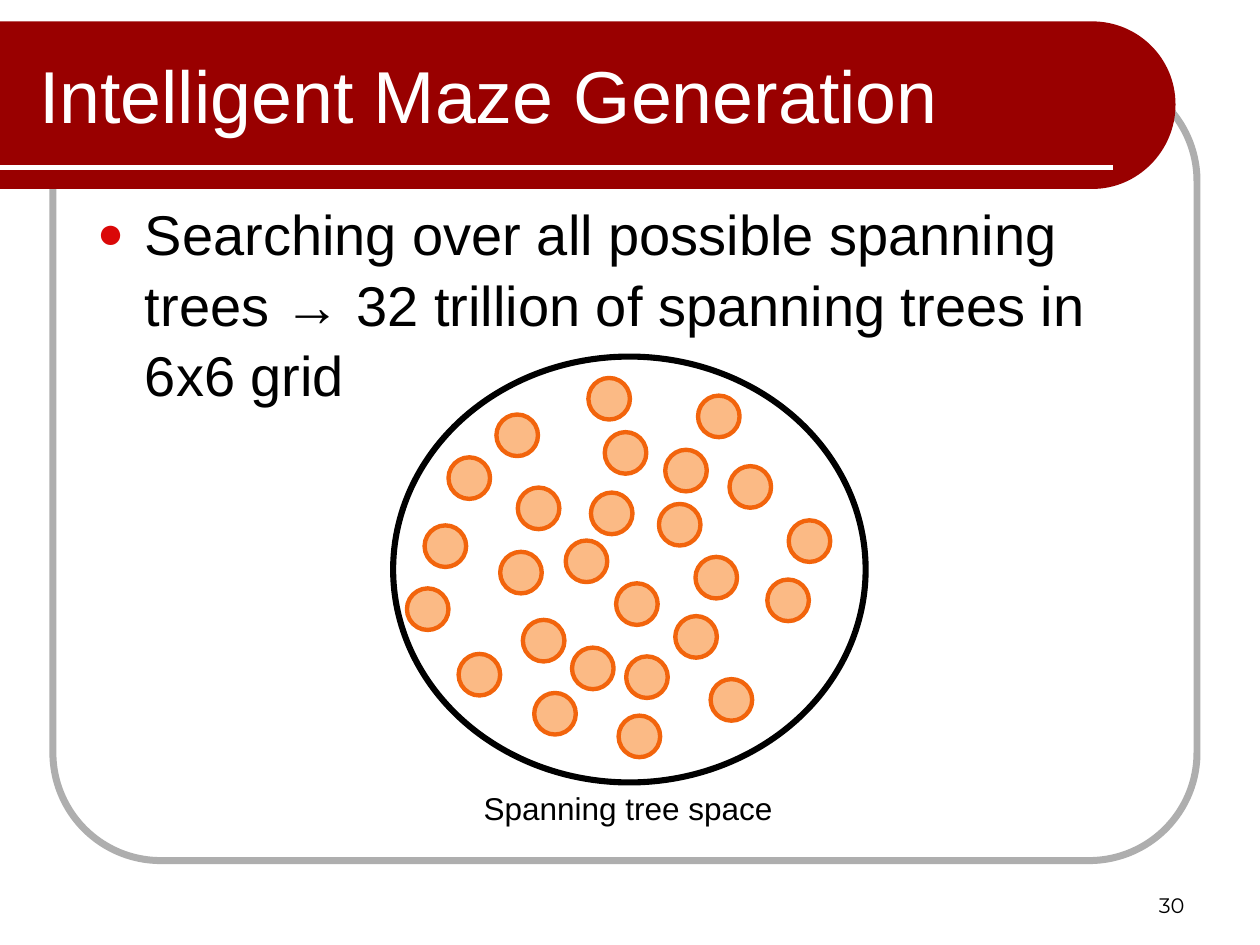
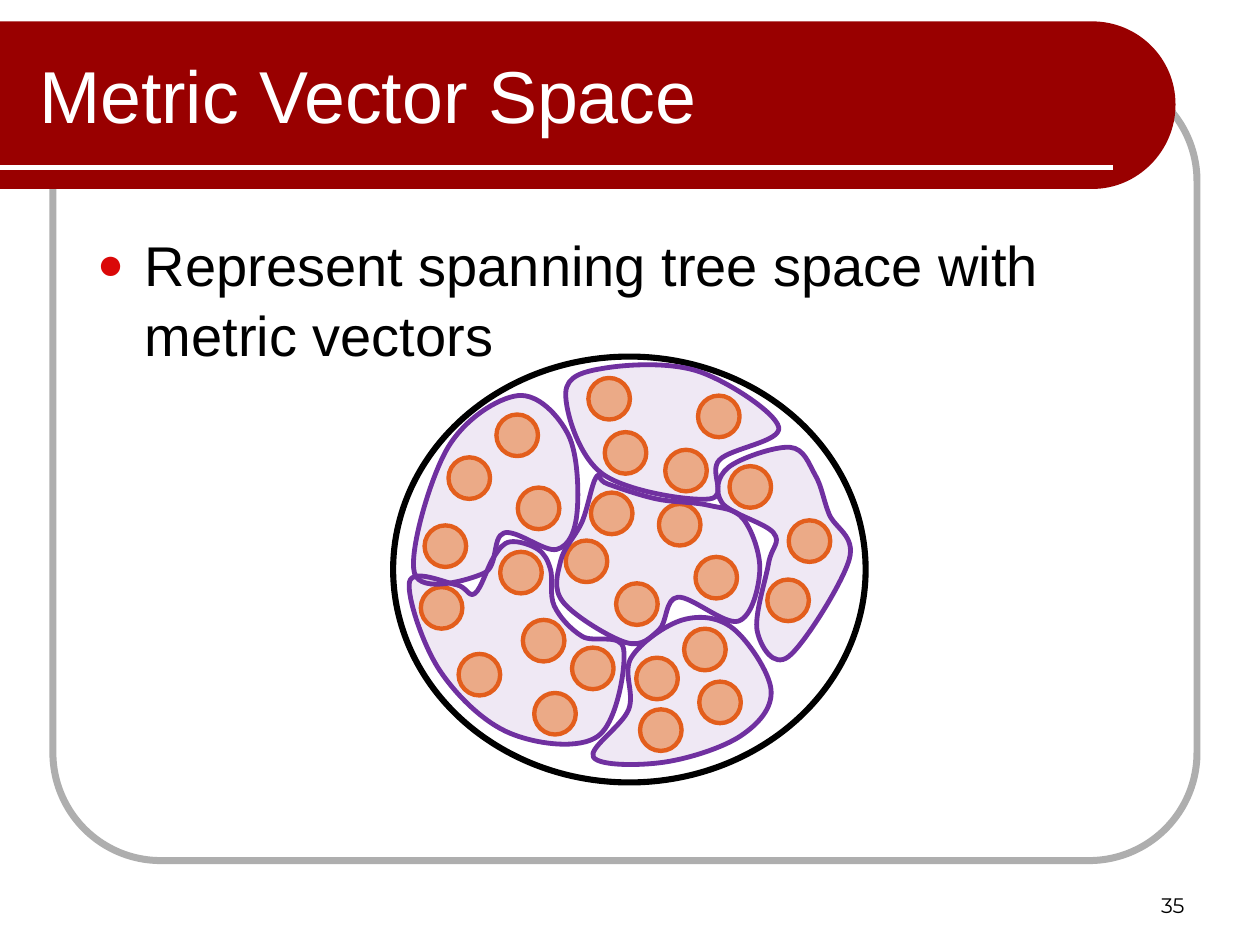
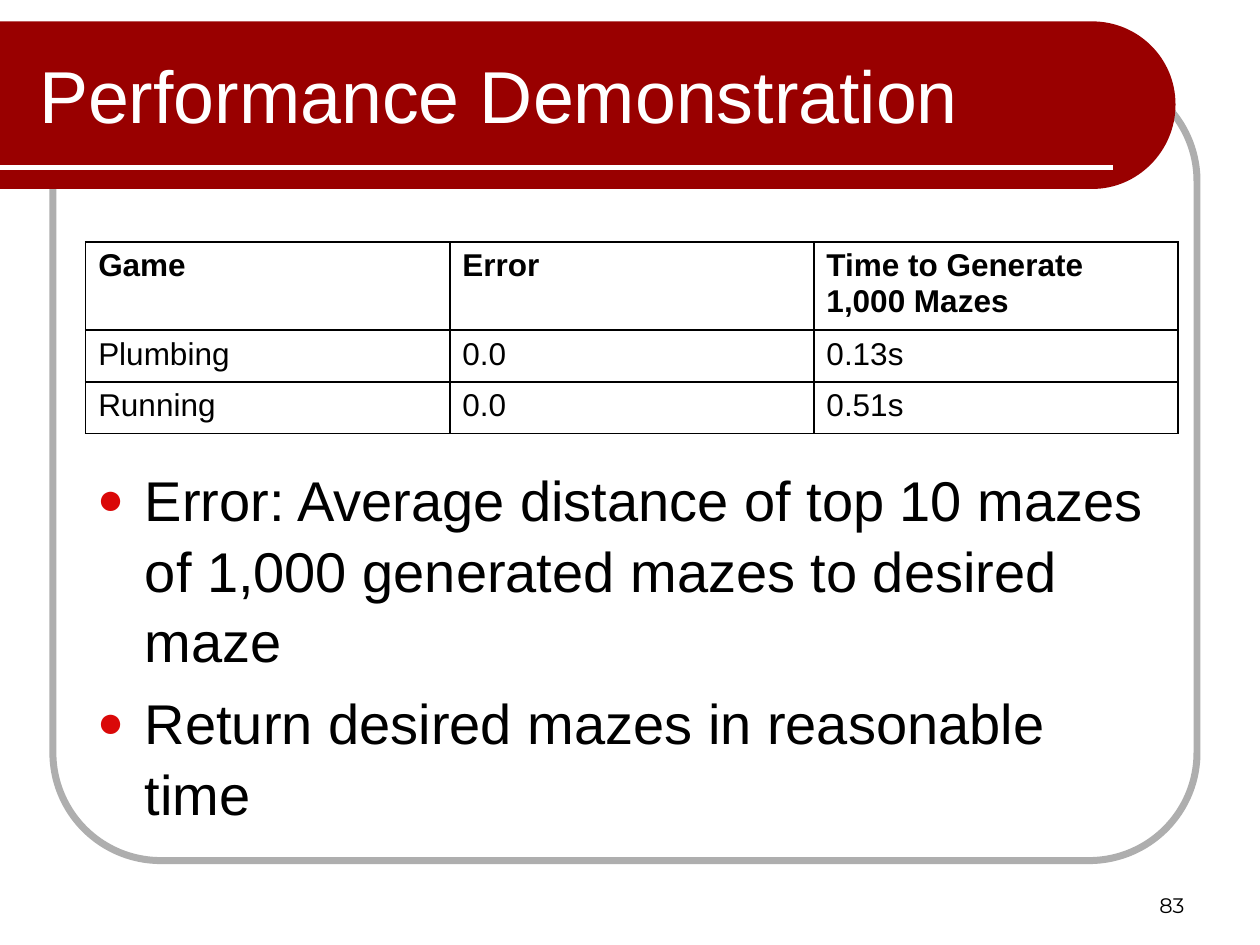
"""Build three slides on maze generation and save them to out.pptx."""
from pptx import Presentation
from pptx.dml.color import RGBColor
from pptx.enum.shapes import MSO_CONNECTOR as Connector, MSO_SHAPE as Shape
from pptx.enum.text import MSO_ANCHOR as Anchor, MSO_AUTO_SIZE as AutoSize, PP_ALIGN as Align
from pptx.oxml.ns import qn
from pptx.oxml.xmlchemy import OxmlElement
from pptx.util import Inches, Pt

COLORS = {
    "band": "990000", "frame": "AEAEAE", "white": "FFFFFF", "black": "000000", "bullet": "DA0808",
    "tree": "FBBA85", "tree line": "F2640C", "region": "7030A0",
}
FONT, NUMBER_FONT = "Arial", "Montserrat"
WIDTH, HEIGHT = 10, 7.5
TREE_SIZE = 0.33
SPACE_BOX = (3.12, 2.83, 3.75, 3.38)

TREES = [
    (4.67, 3), (3.94, 3.29), (4.11, 3.87), (3.37, 4.17), (5.23, 4), (4.49, 4.29), (5.54, 3.14),
    (4.8, 3.43), (6.26, 4.13), (5.52, 4.42), (3.97, 4.38), (4.89, 4.63), (4.15, 4.92),
    (4.24, 5.5), (6.09, 4.6), (5.79, 3.7), (3.64, 5.19), (4.69, 3.91), (3.56, 3.63),
    (4.54, 5.14), (5.28, 3.57),
]
SCATTERED_TREES = [(3.23, 4.67), (4.97, 5.21), (5.36, 4.89), (5.64, 5.39), (4.91, 5.68)]
GROUPED_TREES = [(3.34, 4.66), (5.05, 5.22), (5.43, 4.99), (5.55, 5.41), (5.08, 5.63)]
REGIONS = [
    [(4.81, 2.92), (5.55, 2.95), (6.18, 3.39), (5.71, 3.65), (5.63, 3.96), (4.78, 3.76),
     (4.49, 3.12)],
    [(4.11, 3.14), (3.55, 3.56), (3.29, 4.55), (3.84, 4.55), (4, 4.23), (4.42, 4.36),
     (4.58, 4.07), (4.51, 3.45)],
    [(4.73, 3.79), (4.62, 4.14), (4.45, 4.45), (4.47, 4.78), (4.97, 5.1), (5.23, 5),
     (5.38, 4.74), (5.86, 4.93), (6.03, 4.53), (5.9, 4.12), (5.62, 4.01), (5.21, 3.96),
     (4.82, 3.84)],
    [(6.47, 3.77), (6.58, 4.08), (6.74, 4.44), (6.26, 5.21), (6.01, 5.01), (6.1, 4.47),
     (6.14, 4.23), (5.73, 3.99), (5.78, 3.71), (6.27, 3.55)],
    [(3.25, 4.62), (3.49, 5.32), (4.05, 5.82), (4.75, 5.84), (4.95, 5.15), (4.62, 5.05),
     (4.4, 4.81), (4.37, 4.52), (4.27, 4.36), (4.05, 4.3), (3.92, 4.42), (3.77, 4.71),
     (3.62, 4.64)],
    [(5.82, 4.99), (6.12, 5.48), (5.88, 5.84), (5.27, 6.05), (4.71, 6.01), (4.99, 5.63),
     (5.01, 5.22), (5.42, 4.92)],
]
RESULTS = [
    ("Game", "Error", "Time to Generate 1,000 Mazes"),
    ("Plumbing", "0.0", "0.13s"),
    ("Running", "0.0", "0.51s"),
]
SLIDES = [
    {"title": "Intelligent Maze Generation", "number": "30", "body top": 1.51,
     "bullets": ["Searching over all possible spanning trees → 32 trillion of spanning trees "
                 "in 6x6 grid"],
     "trees": TREES + SCATTERED_TREES, "caption": "Spanning tree space"},
    {"title": "Metric Vector Space", "number": "35", "body top": 1.75,
     "bullets": ["Represent spanning tree space with metric vectors"],
     "trees": TREES + GROUPED_TREES, "regions": REGIONS},
    {"title": "Performance Demonstration", "number": "83", "body top": 3.62,
     "bullets": ["Error: Average distance of top 10 mazes of 1,000 generated mazes to desired maze",
                 "Return desired mazes in reasonable time"],
     "results": RESULTS},
]


def color(name):
    return RGBColor.from_string(COLORS[name])


def inches(values):
    return [Inches(value) for value in values]


def add_child(parent, tag, **attributes):
    child = OxmlElement(tag)
    for name, value in attributes.items():
        child.set(name, str(value))
    parent.append(child)
    return child


def paint(shape, fill=None, line=None, weight=1):
    shape.shadow.inherit = False
    if fill:
        shape.fill.solid()
        shape.fill.fore_color.rgb = color(fill)
    else:
        shape.fill.background()
    if line:
        shape.line.color.rgb = color(line)
        shape.line.width = Pt(weight)
    else:
        shape.line.fill.background()
    return shape


def write(paragraph, text, size, name="black", font=FONT, bold=False, align=Align.LEFT):
    paragraph.text = text
    paragraph.alignment = align
    paragraph.font.size = Pt(size)
    paragraph.font.name = font
    paragraph.font.bold = bold
    paragraph.font.color.rgb = color(name)


def place(shape, box):
    shape.left, shape.top, shape.width, shape.height = inches(box)


def add_preset(slide, kind, box, **style):
    return paint(slide.shapes.add_shape(kind, *inches(box)), **style)


def add_curve(slide, start, segments, **style):
    builder = slide.shapes.build_freeform(*inches(start), scale=1.0)
    builder.add_line_segments([inches(point) for segment in segments for point in segment])
    shape = paint(builder.convert_to_shape(), **style)
    path = next(shape.element.iter(qn("a:path")))
    lines = path.findall(qn("a:lnTo"))
    for first, second, third in zip(lines[::3], lines[1::3], lines[2::3]):
        first.tag = qn("a:cubicBezTo")
        for line in (second, third):
            first.append(line[0])
            path.remove(line)
    return shape


def smooth_loop(knots):
    """Return the Bézier segments of a smooth closed curve through the knots."""
    count = len(knots)
    segments = []
    for index in range(count):
        before, start, end, after = (knots[(index + step) % count] for step in (-1, 0, 1, 2))
        leave = [s + (e - b) / 6 for b, s, e in zip(before, start, end)]
        arrive = [e - (a - s) / 6 for s, e, a in zip(start, end, after)]
        segments.append((leave, arrive, end))
    return segments


def add_frame(slide, layout):
    frame = add_preset(slide, Shape.ROUNDED_RECTANGLE, (0.42, 0.58, 9.08, 6.25),
                       line="frame", weight=4)
    frame.adjustments[0] = 0.137
    top, middle, bottom = 0.17, 0.83, 1.5
    shoulder, tip = 8.67, 9.33
    band = add_curve(slide, (0, top), [
        ((0, top), (shoulder, top), (shoulder, top)),
        ((9.03, top), (tip, 0.46), (tip, middle)),
        ((tip, 1.2), (9.03, bottom), (shoulder, bottom)),
        ((shoulder, bottom), (0, bottom), (0, bottom)),
    ], fill="band")
    rule = slide.shapes.add_connector(Connector.STRAIGHT, *inches((0, 1.33, 8.83, 1.33)))
    rule.line.color.rgb = color("white")
    rule.line.width = Pt(3)
    add_child(rule.element.spPr, "a:effectLst")
    for position, shape in enumerate((frame, band, rule), start=2):
        layout.shapes.element.insert(position, shape.element)


def add_text(slide, box, text, size, anchor=Anchor.TOP, wrap=True, **style):
    frame = slide.shapes.add_textbox(*inches(box)).text_frame
    frame.word_wrap = wrap
    frame.vertical_anchor = anchor
    write(frame.paragraphs[0], text, size, **style)


def fill_title(slide, text):
    title = slide.shapes.title
    place(title, (0.21, 0.25, 7.79, 1))
    title.text_frame.auto_size = AutoSize.NONE
    title.text_frame.vertical_anchor = Anchor.MIDDLE
    write(title.text_frame.paragraphs[0], text, 42, name="white")


def fill_body(slide, top, bullets):
    body = slide.placeholders[1]
    place(body, (0.67, top, 8.67, 6.58 - top))
    frame = body.text_frame
    frame.auto_size = AutoSize.NONE
    for index, text in enumerate(bullets):
        paragraph = frame.add_paragraph() if index else frame.paragraphs[0]
        properties = paragraph._p.get_or_add_pPr()
        properties.set("marL", str(Inches(0.38)))
        properties.set("indent", str(-Inches(0.38)))
        add_child(add_child(properties, "a:buClr"), "a:srgbClr", val=COLORS["bullet"])
        add_child(properties, "a:buSzPct", val=80000)
        add_child(properties, "a:buChar", char="●")
        write(paragraph, text, 32)
        paragraph.line_spacing = 1.05
        paragraph.space_before = Pt(6.4 if index else 0)


def add_tree_space(slide, trees, regions):
    add_preset(slide, Shape.OVAL, SPACE_BOX, line="black", weight=3.5)
    for left, top in trees:
        add_preset(slide, Shape.OVAL, (left, top, TREE_SIZE, TREE_SIZE),
                   fill="tree", line="tree line", weight=2.5)
    for knots in regions:
        region = add_curve(slide, knots[0], smooth_loop(knots),
                           fill="region", line="region", weight=2.75)
        fill_color = region.element.spPr.find(qn("a:solidFill"))[0]
        add_child(fill_color, "a:alpha", val=11000)


def add_results(slide, rows):
    box = inches((0.68, 1.92, 8.67, 1.48))
    table = slide.shapes.add_table(len(rows), len(rows[0]), *box).table
    table.first_row = table.horz_banding = False
    for row_index, values in enumerate(rows):
        table.rows[row_index].height = Inches(0.41 if row_index else 0.66)
        for column_index, value in enumerate(values):
            cell = table.cell(row_index, column_index)
            write(cell.text_frame.paragraphs[0], value, 18, bold=row_index == 0)
            properties = cell._tc.get_or_add_tcPr()
            for side in ("a:lnL", "a:lnR", "a:lnT", "a:lnB"):
                border = add_child(properties, side, w=Pt(1))
                add_child(add_child(border, "a:solidFill"), "a:srgbClr", val=COLORS["black"])
            cell.fill.background()


def main():
    presentation = Presentation()
    presentation.slide_width, presentation.slide_height = inches((WIDTH, HEIGHT))
    layout = presentation.slide_layouts[1]
    for index, content in enumerate(SLIDES):
        slide = presentation.slides.add_slide(layout)
        if index == 0:
            add_frame(slide, layout)
        fill_title(slide, content["title"])
        fill_body(slide, content["body top"], content["bullets"])
        add_text(slide, (7.17, 6.83, 2.33, 0.5), content["number"], 12, anchor=Anchor.BOTTOM,
                 font=NUMBER_FONT, align=Align.RIGHT)
        if "trees" in content:
            add_tree_space(slide, content["trees"], content.get("regions", []))
        if "caption" in content:
            add_text(slide, (3.74, 6.21, 2.52, 0.4), content["caption"], 18, wrap=False)
        if "results" in content:
            add_results(slide, content["results"])
    presentation.save("out.pptx")


if __name__ == "__main__":
    main()
